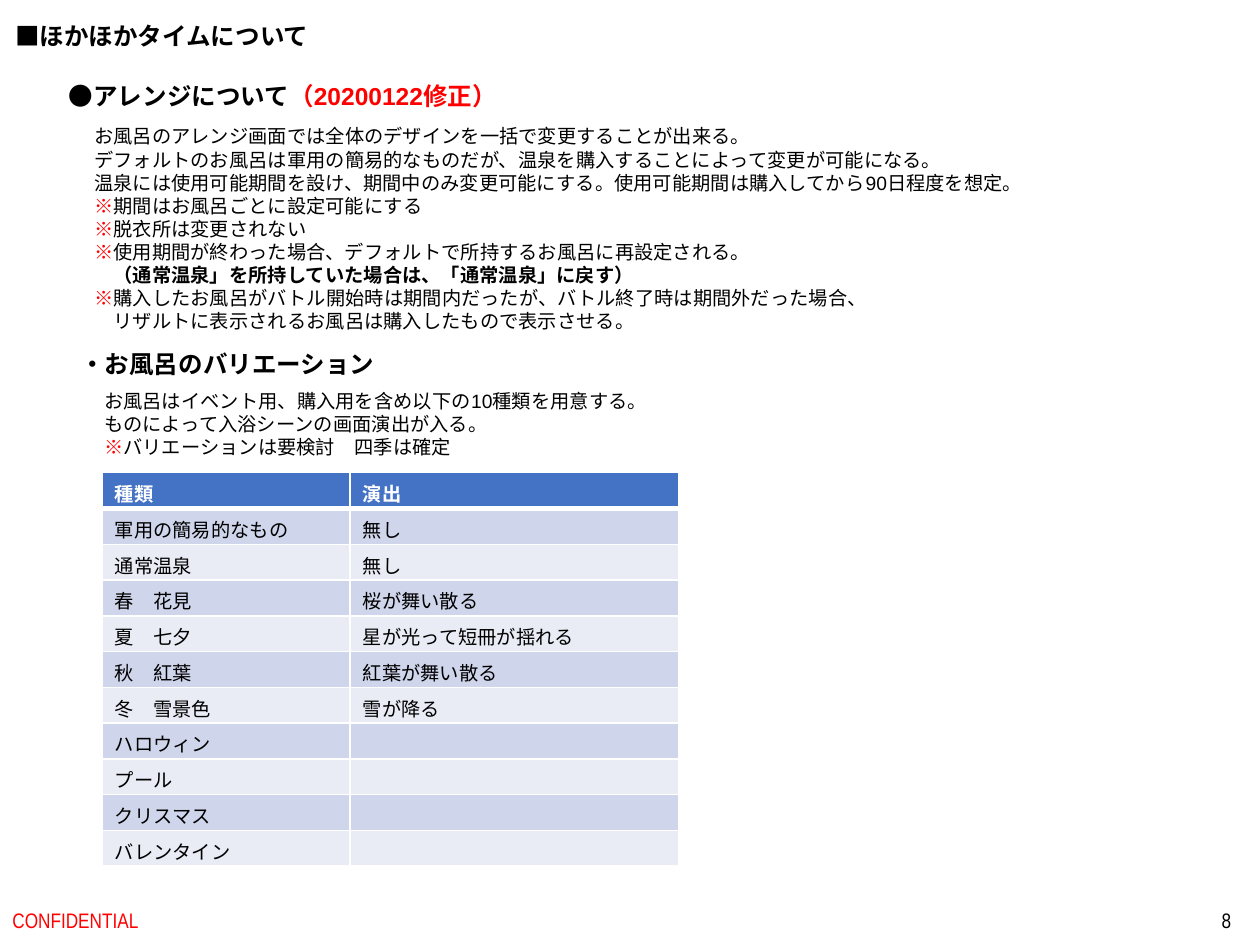
from lxml.etree import SubElement
from pptx import Presentation
from pptx.dml.color import RGBColor
from pptx.enum.text import MSO_ANCHOR, MSO_AUTO_SIZE, PP_ALIGN
from pptx.oxml import parse_xml
from pptx.oxml.ns import nsdecls, qn
from pptx.util import Cm, Pt

BLACK = RGBColor(0x00, 0x00, 0x00)
WHITE = RGBColor(0xFF, 0xFF, 0xFF)
RED = RGBColor(0xFF, 0x00, 0x00)
BLUE = RGBColor(0x44, 0x72, 0xC4)
BANDS = (RGBColor(0xCF, 0xD5, 0xEA), RGBColor(0xE9, 0xEB, 0xF5))

ARIAL, NARROW, SPARTAN = "Arial", "Arial Narrow", "League Spartan"
HEAD, BODY, FOOT = 14, 11, 12
MARK = "※"

RULES = [
    ("お風呂のアレンジ画面では全体のデザインを一括で変更することが出来る。", ARIAL, False),
    ("デフォルトのお風呂は軍用の簡易的なものだが、温泉を購入することによって変更が可能になる。", ARIAL, False),
    ("温泉には使用可能期間を設け、期間中のみ変更可能にする。使用可能期間は購入してから90日程度を想定。", ARIAL, False),
    ("※期間はお風呂ごとに設定可能にする", ARIAL, False),
    ("※脱衣所は変更されない", ARIAL, False),
    ("※使用期間が終わった場合、デフォルトで所持するお風呂に再設定される。", SPARTAN, False),
    ("　（通常温泉」を所持していた場合は、「通常温泉」に戻す）", SPARTAN, True),
    ("※購入したお風呂がバトル開始時は期間内だったが、バトル終了時は期間外だった場合、", SPARTAN, False),
    ("　リザルトに表示されるお風呂は購入したもので表示させる。", SPARTAN, False),
]
NOTES = [
    ("お風呂はイベント用、購入用を含め以下の10種類を用意する。", ARIAL, False),
    ("ものによって入浴シーンの画面演出が入る。", SPARTAN, False),
    ("※バリエーションは要検討　四季は確定", ARIAL, False),
]
BATHS = [
    ("種類", "演出"),
    ("軍用の簡易的なもの", "無し"),
    ("通常温泉", "無し"),
    ("春　花見", "桜が舞い散る"),
    ("夏　七夕", "星が光って短冊が揺れる"),
    ("秋　紅葉　", "紅葉が舞い散る"),
    ("冬　雪景色", "雪が降る"),
    ("ハロウィン", ""),
    ("プール", ""),
    ("クリスマス", ""),
    ("バレンタイン", ""),
]


class Page:
    def __init__(self, slide):
        self.slide = slide

    def style(self, run, size, face=ARIAL, color=BLACK, bold=False):
        font = run.font
        font.size, font.name, font.bold = Pt(size), face, bold
        font.color.rgb = color

    def place(self, shape, left, top, width, height):
        shape.left, shape.top = Cm(left), Cm(top)
        shape.width, shape.height = Cm(width), Cm(height)

    def fit(self, frame):
        """Let the box grow around unwrapped text."""
        frame.word_wrap = False
        frame.auto_size = MSO_AUTO_SIZE.SHAPE_TO_FIT_TEXT
        frame.vertical_anchor = MSO_ANCHOR.TOP

    def title(self, text, *area):
        shape = self.slide.shapes.title
        self.place(shape, *area)
        frame = shape.text_frame
        frame.text = text
        self.fit(frame)
        para = frame.paragraphs[0]
        para.alignment = PP_ALIGN.LEFT
        self.style(para.runs[0], HEAD, bold=True)

    def box(self, *area):
        return self.slide.shapes.add_textbox(*map(Cm, area)).text_frame

    def head(self, parts, *area):
        """Write a bold heading from (text, colour) parts."""
        frame = self.box(*area)
        self.fit(frame)
        for text, color in parts:
            run = frame.paragraphs[0].add_run()
            run.text = text
            self.style(run, HEAD, color=color, bold=True)

    def body(self, lines, *area):
        """Write lines of text, with each leading mark in red."""
        frame = self.box(*area)
        self.fit(frame)
        for i, (text, face, bold) in enumerate(lines):
            para = frame.add_paragraph() if i else frame.paragraphs[0]
            rest = text.removeprefix(MARK)
            if rest != text:
                run = para.add_run()
                run.text = MARK
                self.style(run, BODY, face, RED)
            run = para.add_run()
            run.text = rest
            self.style(run, BODY, face, bold=bold)

    def foot(self, text, color, align, *area):
        frame = self.box(*area)
        frame.word_wrap = True
        frame.vertical_anchor = MSO_ANCHOR.MIDDLE
        frame.text = text
        para = frame.paragraphs[0]
        para.alignment = align
        self.style(para.runs[0], FOOT, NARROW, color)

    def edge(self, cell, base):
        """Draw white cell borders; base is the bottom width in points."""
        props = cell._tc.get_or_add_tcPr()
        sides = (("lnL", 1), ("lnR", 1), ("lnT", 1), ("lnB", base))
        for i, (side, width) in enumerate(sides):
            props.insert(i, parse_xml(
                f'<a:{side} {nsdecls("a")} w="{Pt(width)}"><a:solidFill>'
                f'<a:srgbClr val="{WHITE}"/></a:solidFill></a:{side}>'))

    def table(self, rows, widths, high, *spot):
        size = (sum(widths), high * len(rows))
        grid = self.slide.shapes.add_table(
            len(rows), len(widths), *map(Cm, spot + size)).table
        for col, width in zip(grid.columns, widths):
            col.width = Cm(width)
        for r, row in enumerate(rows):
            grid.rows[r].height = Cm(high)
            for c, text in enumerate(row):
                cell = grid.cell(r, c)
                cell.fill.solid()
                cell.fill.fore_color.rgb = BANDS[(r - 1) % 2] if r else BLUE
                self.edge(cell, 1 if r else 3)
                para = cell.text_frame.paragraphs[0]
                if text:
                    para.text = text
                    self.style(para.runs[0], BODY, (ARIAL, SPARTAN)[c],
                               BLACK if r else WHITE, bold=not r)
                else:
                    SubElement(para._p, qn("a:endParaRPr"), sz=str(BODY * 100))


def main():
    deck = Presentation()
    deck.slide_width, deck.slide_height = Cm(25.4), Cm(19.05)
    page = Page(deck.slides.add_slide(deck.slide_layouts[5]))

    page.title("■ほかほかタイムについて", 0.05, 0.3, 6.5, 0.86)
    page.head([("●アレンジについて", BLACK), ("（20200122修正）", RED)],
              1.14, 1.5, 9.7, 0.86)
    page.body(RULES, 1.65, 2.39, 19.43, 4.5)
    page.head([("・お風呂のバリエーション", BLACK)], 1.37, 6.91, 6.5, 0.86)
    page.body(NOTES, 1.85, 7.72, 11.58, 1.68)
    page.table(BATHS, (5, 6.63), 0.72, 2.06, 9.53)
    page.foot("CONFIDENTIAL", RED, PP_ALIGN.LEFT, 0, 18.03, 8.59, 1.02)
    page.foot("8", BLACK, PP_ALIGN.RIGHT, 19.35, 18.03, 5.72, 1.02)

    deck.save("out.pptx")


if __name__ == "__main__":
    main()
